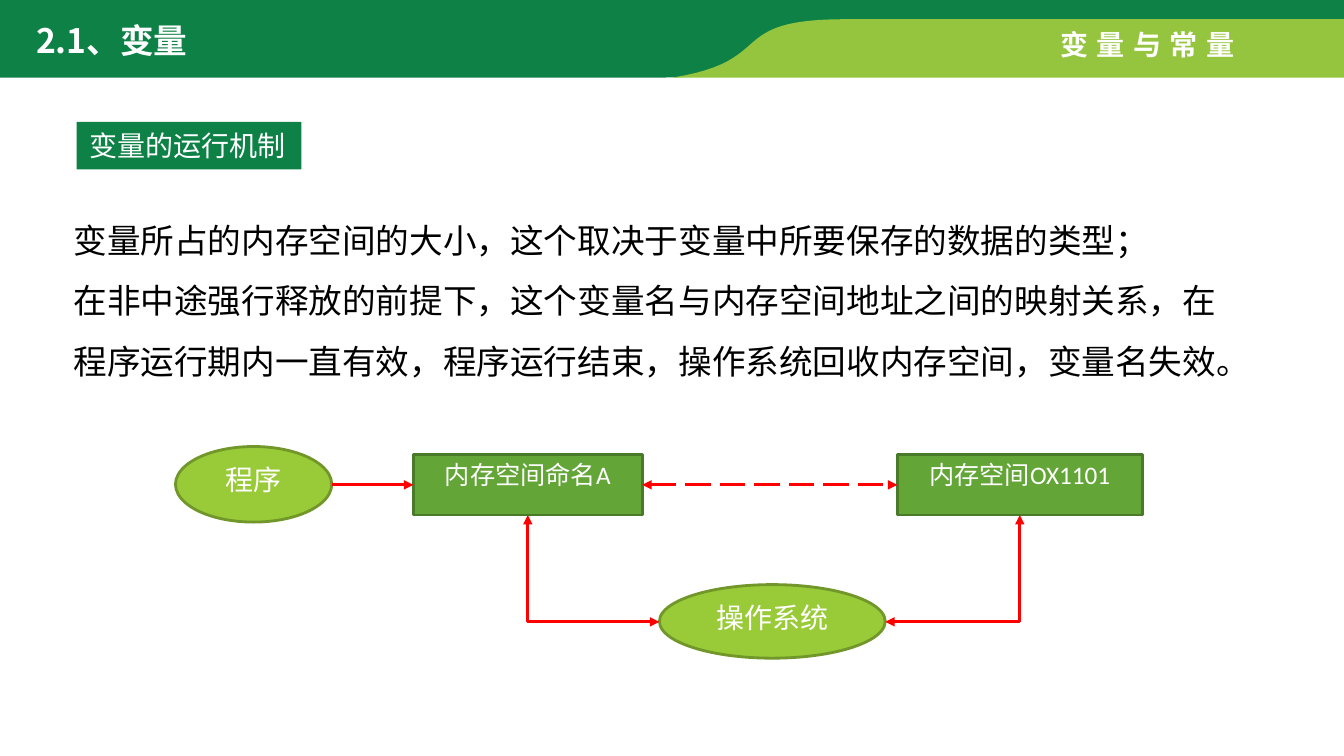
from collections import namedtuple
from lxml.etree import SubElement
from pptx import Presentation
from pptx.dml.color import RGBColor
from pptx.enum.dml import MSO_LINE
from pptx.enum.shapes import MSO_CONNECTOR, MSO_SHAPE
from pptx.enum.text import MSO_ANCHOR, PP_ALIGN
from pptx.oxml.ns import qn
from pptx.util import Inches, Pt

Theme = namedtuple("Theme", "dark lime oval oval_edge block block_edge arrow white black "
                            "heading label node cjk arial calibri")
theme = Theme(
    *[RGBColor.from_string(code) for code in (
        "0E8146", "95C53E", "99CB38", "719629", "63A537", "497A29",
        "FF0000", "FFFFFF", "000000")],
    heading=Pt(24), label=Pt(20), node=Pt(18),
    cjk="Noto Sans CJK SC", arial="Arial", calibri="Calibri")


def write(box, lines, size, font, color, bold=False, spacing=None, line_spacing=None, wrap=True):
    """Fill a shape with paragraphs that share one style."""
    frame = box.text_frame
    frame.text = "\n".join(lines)
    frame.word_wrap = wrap
    frame.vertical_anchor = MSO_ANCHOR.TOP
    for para in frame.paragraphs:
        para.line_spacing = line_spacing
        for span in para.runs:
            span.font.size = size
            span.font.name = font
            span.font.bold = bold
            span.font.color.rgb = color
            properties = span.font._element
            SubElement(properties, qn("a:ea")).set("typeface", theme.cjk)
            if spacing:
                properties.set("spc", str(spacing))


def curve(start, first, second, end, steps=24):
    """Points along a cubic curve, without its start."""
    points = []
    for step in range(1, steps + 1):
        t = step / steps
        weights = ((1 - t) ** 3, 3 * t * (1 - t) ** 2, 3 * t * t * (1 - t), t ** 3)
        points.append(tuple(sum(weight * point[axis] for weight, point
                                in zip(weights, (start, first, second, end)))
                            for axis in (0, 1)))
    return points


deck = Presentation()
deck.slide_width, deck.slide_height = Inches(13.33), Inches(7.5)
page = deck.slides.add_slide(deck.slide_layouts[6])

# Section label
label = page.shapes.add_shape(MSO_SHAPE.RECTANGLE, Inches(0.76), Inches(1.21),
                              Inches(2.23), Inches(0.47))
label.shadow.inherit = False
label.fill.solid()
label.fill.fore_color.rgb = theme.dark
label.line.fill.background()
write(label, ["变量的运行机制"], theme.label, theme.arial, theme.white, wrap=False)
label.text_frame.paragraphs[0].alignment = PP_ALIGN.LEFT
label.text_frame.margin_left = label.text_frame.margin_right = Inches(0.13)
label.text_frame.margin_top = label.text_frame.margin_bottom = Inches(0.07)

# Header bands
dark_band = [(0, 0), (13.33, 0), (13.33, 0.24), (8.27, 0.24), (8.09, 0.28),
             *curve((8.09, 0.28), (7.27, 0.44), (7.7, 0.77), (6.55, 0.77)), (0, 0.77)]
lime_band = [(8.39, 0.19), (13.33, 0.19), (13.33, 0.77), (6.67, 0.77),
             *curve((6.67, 0.77), (7.73, 0.6), (7.17, 0.19), (8.39, 0.19))]
for outline, color in ((dark_band, theme.dark), (lime_band, theme.lime)):
    points = [(Inches(x), Inches(y)) for x, y in outline]
    builder = page.shapes.build_freeform(*points[0])
    builder.add_line_segments(points[1:], close=True)
    band = builder.convert_to_shape()
    band.shadow.inherit = False
    band.fill.solid()
    band.fill.fore_color.rgb = color
    band.line.fill.background()

# Header titles and body text
texts = [
    ((10.42, 0.22, 2.03, 0.44), ["变量与常量"],
     dict(size=theme.label, font=theme.arial, color=theme.white, bold=True,
          spacing=600, wrap=False)),
    ((0.26, 0.15, 3.77, 0.5), ["2.1、变量"],
     dict(size=theme.heading, font=theme.cjk, color=theme.white, bold=True)),
    ((0.63, 1.93, 11.82, 1.92),
     ["变量所占的内存空间的大小，这个取决于变量中所要保存的数据的类型；",
      "在非中途强行释放的前提下，这个变量名与内存空间地址之间的映射关系，"
      "在程序运行期内一直有效，程序运行结束，操作系统回收内存空间，变量名失效。"],
     dict(size=theme.heading, font=theme.cjk, color=theme.black, line_spacing=1.5)),
]
for place, lines, style in texts:
    box = page.shapes.add_textbox(*map(Inches, place))
    write(box, lines, **style)

# Diagram nodes
oval = (MSO_SHAPE.OVAL, theme.oval, theme.oval_edge, theme.label)
block = (MSO_SHAPE.RECTANGLE, theme.block, theme.block_edge, theme.node)
nodes = {}
for text, place, (kind, fill, edge, size) in (
        ("程序", (1.74, 4.43, 1.55, 0.75), oval),
        ("内存空间命名A", (4.1, 4.51, 2.27, 0.6), block),
        ("操作系统", (6.54, 5.8, 2.24, 0.73), oval),
        ("内存空间OX1101", (8.9, 4.51, 2.43, 0.6), block)):
    node = page.shapes.add_shape(kind, *map(Inches, place))
    node.shadow.inherit = False
    node.fill.solid()
    node.fill.fore_color.rgb = fill
    node.line.color.rgb = edge
    node.line.width = Pt(2)
    write(node, [text], size, theme.calibri, theme.white)
    node.text_frame.paragraphs[0].alignment = PP_ALIGN.CENTER
    nodes[text] = node
name_block, address_block = nodes["内存空间命名A"], nodes["内存空间OX1101"]

# Arrows: start, end, block joined at start, (block, side) joined at end, bent, both heads
for start, end, source, (target, side), bent, double in (
        ((3.29, 4.81), (4.1, 4.81), None, (name_block, 1), False, False),
        ((6.54, 6.17), (5.23, 5.11), None, (name_block, 2), True, True),
        ((8.78, 6.17), (10.11, 5.11), None, (address_block, 2), True, True),
        ((6.37, 4.81), (8.9, 4.81), name_block, (address_block, 1), False, True)):
    arrow = page.shapes.add_connector(MSO_CONNECTOR.ELBOW if bent else MSO_CONNECTOR.STRAIGHT,
                                      *map(Inches, start + end))
    arrow.line.color.rgb = theme.arrow
    arrow.line.width = Pt(2.25)
    if source:
        arrow.begin_connect(source, 3)
        arrow.line.dash_style = MSO_LINE.LONG_DASH
    arrow.end_connect(target, side)
    properties = arrow._element.spPr
    if bent:
        properties.find(qn("a:prstGeom")).set("prst", "bentConnector2")
    line = properties.find(qn("a:ln"))
    for tip in (("headEnd", "tailEnd") if double else ("tailEnd",)):
        SubElement(line, qn("a:" + tip)).set("type", "triangle")
    SubElement(properties, qn("a:effectLst"))

deck.save("out.pptx")
